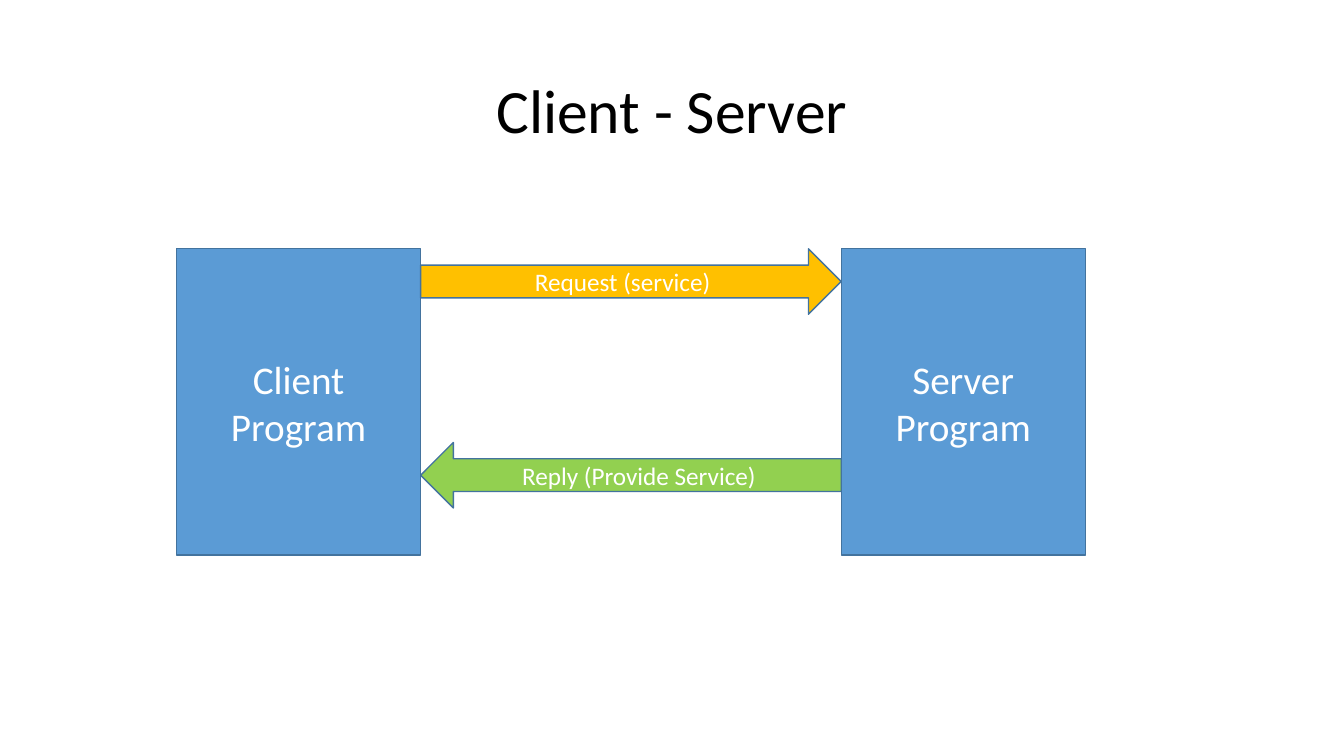
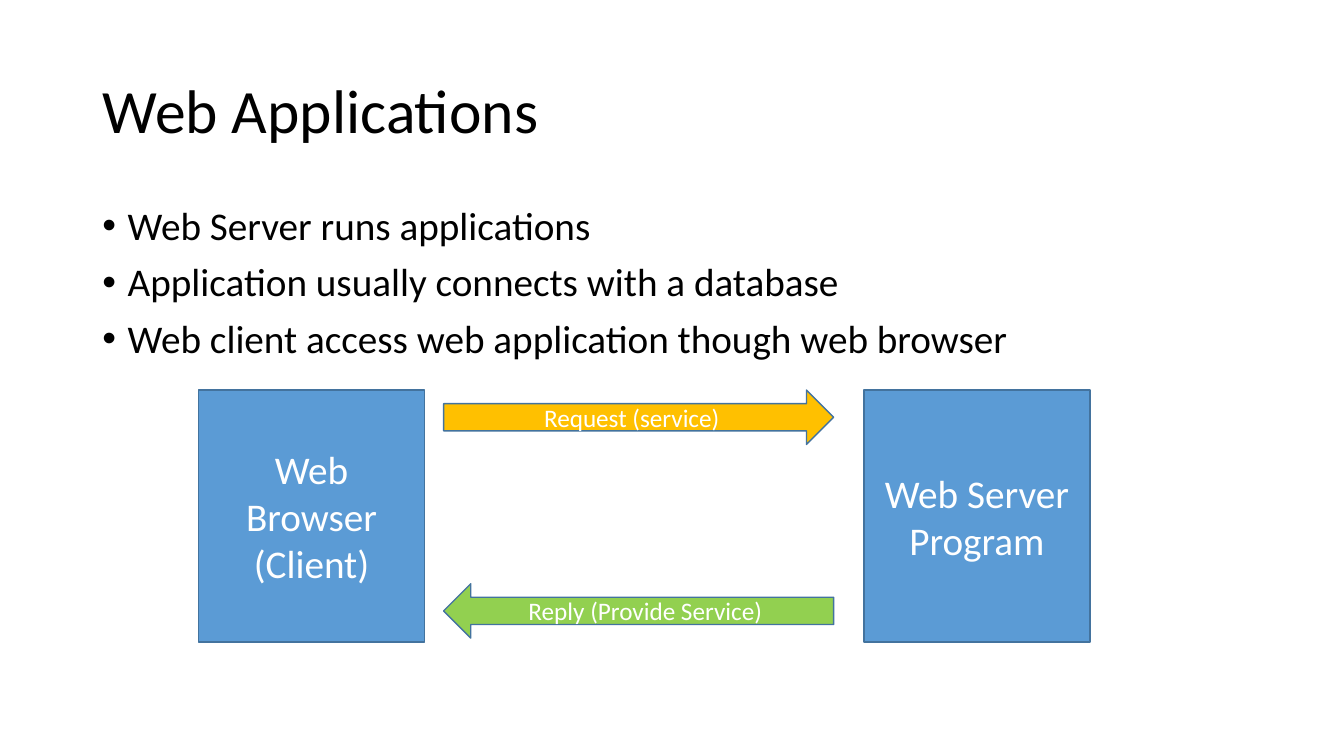
from lxml import etree
from pptx import Presentation
from pptx import util as u
from pptx.dml.color import RGBColor
from pptx.enum import shapes, text
from pptx.oxml import ns

COLOURS = {
    "text": "000000",
    "light": "FFFFFF",
    "program": "5B9BD5",
    "outline": "43739E",
    "request": "FFC000",
    "reply": "92D050",
}
FONT = "Calibri"
TITLE_ONLY = 5
MARGIN, CONTENT_WIDTH = 2.33, 29.21
REPLY_DROP = 4.88  # from the top of the request arrow to the top of the reply

TITLE_FORMAT = {"line_spacing": 0.9}
BULLET_FORMAT = {"line_spacing": 0.9, "space_before": u.Pt(10),
                 "alignment": text.PP_ALIGN.LEFT}
LABEL_FORMAT = {"alignment": text.PP_ALIGN.CENTER}


def colour(name):
    return RGBColor.from_string(COLOURS[name])


def lengths(*values):
    return [u.Cm(value) for value in values]


class Slides:
    def __init__(self):
        self.deck = Presentation()
        self.deck.slide_width, self.deck.slide_height = lengths(33.87, 19.05)
        self.page = None

    def add_words(self, para, words, size, ink, values):
        for name, value in values.items():
            setattr(para, name, value)
        span = para.add_run()
        span.text = words
        for name, value in {"name": FONT, "size": u.Pt(size)}.items():
            setattr(span.font, name, value)
        span.font.color.rgb = colour(ink)

    def add_page(self, title, alignment):
        self.page = self.deck.slides.add_slide(self.deck.slide_layouts[TITLE_ONLY])
        box = self.page.shapes.title
        box.left, box.top, box.width, box.height = lengths(
            MARGIN, 1.01, CONTENT_WIDTH, 3.68)
        frame = box.text_frame
        frame.auto_size = text.MSO_AUTO_SIZE.NONE
        frame.vertical_anchor = text.MSO_ANCHOR.MIDDLE
        self.add_words(frame.paragraphs[0], title, 44, "text",
                       {**TITLE_FORMAT, "alignment": alignment})

    def add_bullets(self, items, top, height):
        box = self.page.shapes.add_textbox(
            *lengths(MARGIN, top, CONTENT_WIDTH, height))
        frame = box.text_frame
        frame.word_wrap = True
        for index, item in enumerate(items):
            para = frame.add_paragraph() if index else frame.paragraphs[0]
            self.add_words(para, item, 28, "text", BULLET_FORMAT)
            properties = para._p.get_or_add_pPr()
            indent = u.Cm(0.64)
            properties.set("marL", str(indent))
            properties.set("indent", str(-indent))
            etree.SubElement(properties, ns.qn("a:buFont")).set("typeface", "Arial")
            etree.SubElement(properties, ns.qn("a:buChar")).set("char", "•")

    def add_label(self, kind, place, words, size, fill):
        box = self.page.shapes.add_shape(kind, *lengths(*place))
        box.shadow.inherit = False
        box.fill.solid()
        box.fill.fore_color.rgb = colour(fill)
        box.line.color.rgb = colour("outline")
        box.line.width = u.Pt(1)
        frame = box.text_frame
        frame.word_wrap = True
        frame.vertical_anchor = text.MSO_ANCHOR.MIDDLE
        self.add_words(frame.paragraphs[0], words, size, "light", LABEL_FORMAT)

    def add_exchange(self, top, programs, program_size, arrow):
        """Two programs, as (left, words), joined by request and reply arrows;
        arrow is (left, width, height)."""
        kinds = shapes.MSO_SHAPE
        for left, words in programs:
            self.add_label(kinds.RECTANGLE, (left, top, *program_size),
                           words, 28, "program")
        left, width, height = arrow
        for kind, drop, words, fill in (
            (kinds.RIGHT_ARROW, 0, "Request (service)", "request"),
            (kinds.LEFT_ARROW, REPLY_DROP, "Reply (Provide Service)", "reply"),
        ):
            self.add_label(kind, (left, top + drop, width, height), words, 18, fill)


def main():
    slides = Slides()

    slides.add_page("Client - Server", text.PP_ALIGN.CENTER)
    slides.add_exchange(
        top=6.27,
        programs=[(4.45, "Client Program"), (21.2, "Server Program")],
        program_size=(6.15, 7.72),
        arrow=(10.6, 10.6, 1.65),
    )

    slides.add_page("Web Applications", text.PP_ALIGN.LEFT)
    slides.add_bullets([
        "Web Server runs applications",
        "Application usually connects with a database",
        "Web client access web application though web browser",
    ], top=5.08, height=4.6)
    slides.add_exchange(
        top=9.83,
        programs=[(5, "Web Browser (Client)"), (21.77, "Web Server Program")],
        program_size=(5.7, 6.35),
        arrow=(11.18, 9.83, 1.37),
    )

    slides.deck.save("out.pptx")


if __name__ == "__main__":
    main()
